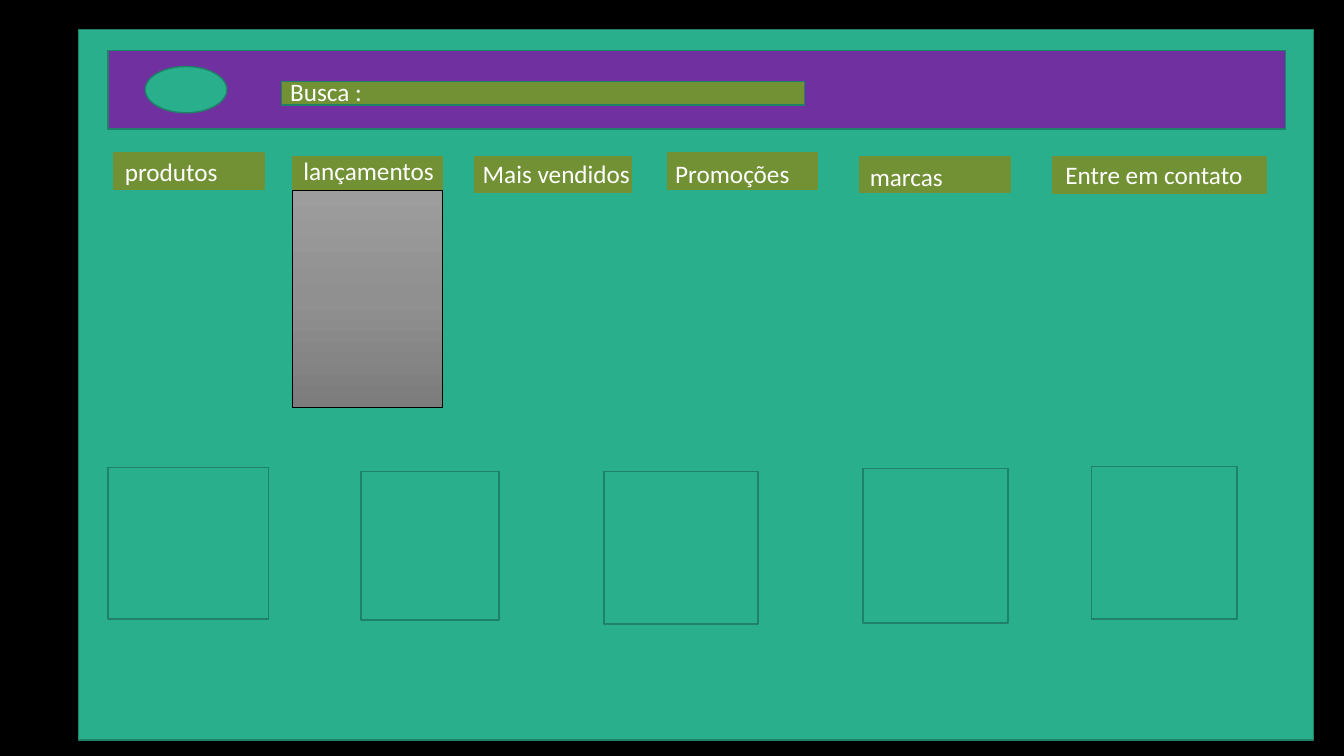
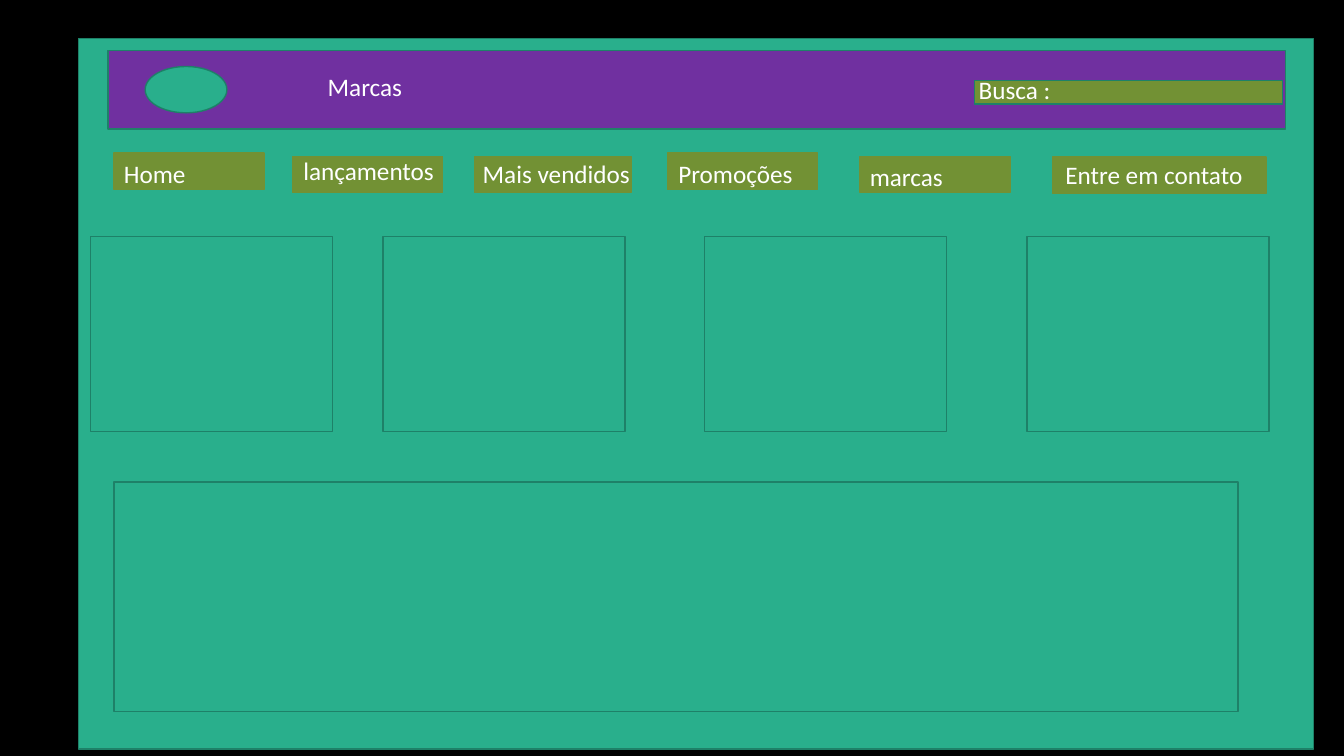
"""Build two wireframe slides of an online shop: the home page and the brands page."""
from copy import deepcopy
from dataclasses import dataclass
from typing import NamedTuple

from pptx import Presentation
from pptx.dml.color import RGBColor
from pptx.enum.shapes import MSO_SHAPE
from pptx.enum.text import MSO_ANCHOR, MSO_AUTO_SIZE, PP_ALIGN
from pptx.oxml.ns import qn
from pptx.shapes.autoshape import Shape
from pptx.slide import Slide
from pptx.util import Inches, Pt

RECTANGLE, OVAL = MSO_SHAPE.RECTANGLE, MSO_SHAPE.OVAL
TOP, LEFT = MSO_ANCHOR.TOP, PP_ALIGN.LEFT
GROW = MSO_AUTO_SIZE.SHAPE_TO_FIT_TEXT
TITLE_ONLY, BLANK = 5, 6
SLIDE_WIDTH, SLIDE_HEIGHT = Inches(13.33), Inches(7.5)
FONT, TEXT_SIZE = "Calibri", Pt(18)
COLORS = {
    "backdrop": "000000",
    "page": "29AF8C",
    "outline": "1E8168",
    "banner": "7030A0",
    "tab": "729134",
    "text": "FFFFFF",
    "menu_outline": "000000",
}
MENU_SHADES = ("9D9D9D", "909090", "7C7C7C")


class Box(NamedTuple):
    """Position and size as percentages of the slide."""
    left: float
    top: float
    width: float
    height: float


class Tab(NamedTuple):
    """Navigation button with its separately placed label."""
    label: str
    button: Box
    caption: Box


@dataclass(frozen=True)
class Page:
    """Content and layout of one shop page."""
    frame_top: float
    tabs: tuple[Tab, ...]
    search_bar: Box
    search_label: Box
    panels: tuple[Box, ...]
    heading: str = ""
    open_menu: Box | None = None


TAB_HEIGHT, LABEL_HEIGHT = 4.8, 5.33
TAB_WIDTH = 11.18
BANNER = Box(8.03, 6.67, 87.6, 10.4)
LOGO = Box(10.8, 8.8, 6.08, 6.13)
HEADING = Box(23.63, 8.8, 37.88, LABEL_HEIGHT)


def make_tab(label: str, left: float, top: float, width: float,
             label_left: float, label_top: float, label_width: float) -> Tab:
    """Describe a tab from its button and label positions."""
    return Tab(label, Box(left, top, width, TAB_HEIGHT),
               Box(label_left, label_top, label_width, LABEL_HEIGHT))


def make_tabs(first: str, first_left: float, first_top: float,
              offers_left: float) -> tuple[Tab, ...]:
    """Describe the navigation row, whose first and fourth labels vary."""
    return (
        make_tab(first, 8.48, 20.27, TAB_WIDTH, first_left, first_top, TAB_WIDTH),
        make_tab("lançamentos", 21.75, 20.67, TAB_WIDTH, 21.83, 19.87, 11.78),
        make_tab("Mais vendidos", 35.33, 20.67, 11.63, 35.18, 20.27, 14.78),
        make_tab("Promoções ", 49.65, 20.27, TAB_WIDTH, offers_left, 20.27, 11.25),
        make_tab("marcas", 63.98, 20.67, TAB_WIDTH, 63.98, 20.67, 10.95),
        make_tab("Entre em contato", 78.3, 20.8, 15.9, 78.53, 20.4, 15.75),
    )


HOME = Page(
    frame_top=3.87,
    tabs=make_tabs("produtos", 8.55, 20, 49.5),
    search_bar=Box(20.93, 10.8, 38.93, 3.07),
    search_label=Box(20.85, 9.47, 38.93, LABEL_HEIGHT),
    panels=(
        Box(8.03, 61.87, 11.93, 20),
        Box(26.85, 62.4, 10.28, 19.6),
        Box(44.93, 62.4, 11.48, 20.13),
        Box(64.2, 62, 10.8, 20.4),
        Box(81.23, 61.73, 10.8, 20.13),
    ),
    open_menu=Box(21.75, 25.2, TAB_WIDTH, 28.67),
)
BRANDS = Page(
    frame_top=5.07,
    tabs=make_tabs("Home", 8.48, 20.27, 49.73),
    search_bar=Box(72.53, 10.67, 22.88, 3.07),
    search_label=Box(72.08, 9.2, 23.33, LABEL_HEIGHT),
    panels=(
        *(Box(left, 31.25, 18, 25.87) for left in (6.75, 28.5, 52.43, 76.43)),
        Box(8.48, 63.73, 83.63, 30.4),
    ),
    heading="Marcas",
)


def rgb(name: str) -> RGBColor:
    """Look up a named colour."""
    return RGBColor.from_string(COLORS[name])


def to_lengths(box: Box) -> tuple[int, int, int, int]:
    """Convert slide percentages to lengths."""
    return (round(SLIDE_WIDTH * box.left / 100), round(SLIDE_HEIGHT * box.top / 100),
            round(SLIDE_WIDTH * box.width / 100), round(SLIDE_HEIGHT * box.height / 100))


def draw_block(slide: Slide, box: Box, fill: str = "page", outline: str = "outline",
               geometry: MSO_SHAPE = RECTANGLE, weight: float = 1) -> Shape:
    """Draw a filled, outlined block."""
    block = slide.shapes.add_shape(geometry, *to_lengths(box))
    block.shadow.inherit = False
    block.fill.solid()
    block.fill.fore_color.rgb = rgb(fill)
    block.line.color.rgb = rgb(outline)
    block.line.width = Pt(weight)
    return block


def write(holder: Shape, text: str) -> None:
    """Write one left-aligned line in the shared text style."""
    frame = holder.text_frame
    frame.word_wrap = True
    frame.auto_size = GROW
    frame.vertical_anchor = TOP
    paragraph = frame.paragraphs[0]
    paragraph.alignment = LEFT
    run = paragraph.add_run()
    run.text = text
    run.font.name = FONT
    run.font.size = TEXT_SIZE
    run.font.color.rgb = rgb("text")


def draw_label(slide: Slide, box: Box, text: str) -> None:
    """Place a text label."""
    write(slide.shapes.add_textbox(*to_lengths(box)), text)


def draw_open_menu(slide: Slide, box: Box) -> None:
    """Draw the drop-down menu with its three-stop vertical gradient."""
    menu = draw_block(slide, box, outline="menu_outline", weight=0.5)
    menu.fill.gradient()
    menu.fill.gradient_angle = 270
    first_stop = next(menu.element.iter(qn("a:gs")))
    middle_stop = deepcopy(first_stop)
    middle_stop.set("pos", "50000")
    first_stop.addnext(middle_stop)
    for stop, shade in zip(menu.fill.gradient_stops, MENU_SHADES):
        stop.color.rgb = RGBColor.from_string(shade)


def place_heading(slide: Slide, text: str) -> None:
    """Move the title placeholder onto the banner and fill it."""
    heading = slide.shapes.title
    heading.left, heading.top, heading.width, heading.height = to_lengths(HEADING)
    write(heading, text)
    heading.element.getparent().append(heading.element)


def build_page(deck: Presentation, page: Page) -> None:
    """Add one shop page to the deck."""
    layout = deck.slide_layouts[TITLE_ONLY if page.heading else BLANK]
    slide = deck.slides.add_slide(layout)
    slide.background.fill.solid()
    slide.background.fill.fore_color.rgb = rgb("backdrop")
    draw_block(slide, Box(5.85, page.frame_top, 91.88, 94))
    draw_block(slide, BANNER, "banner")
    draw_block(slide, LOGO, geometry=OVAL)
    draw_block(slide, page.search_bar, "tab")
    draw_label(slide, page.search_label, "Busca :")
    for tab in page.tabs:
        draw_block(slide, tab.button, "tab", "tab")
        draw_label(slide, tab.caption, tab.label)
    for panel in page.panels:
        draw_block(slide, panel)
    if page.open_menu:
        draw_open_menu(slide, page.open_menu)
    if page.heading:
        place_heading(slide, page.heading)


def main() -> None:
    """Build and save the deck."""
    deck = Presentation()
    deck.slide_width, deck.slide_height = SLIDE_WIDTH, SLIDE_HEIGHT
    for page in (HOME, BRANDS):
        build_page(deck, page)
    deck.save("out.pptx")


main()
